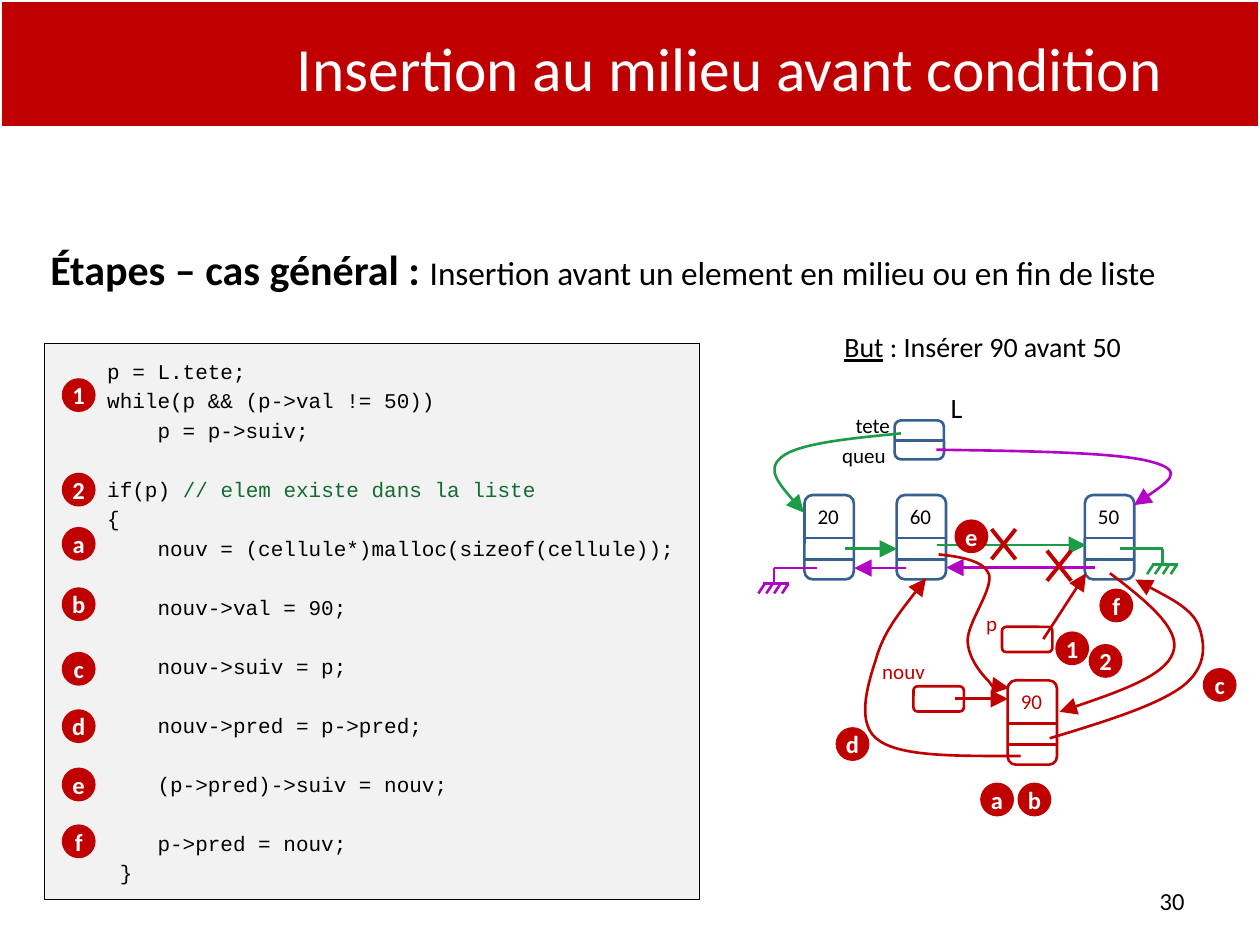
from lxml import etree
from pptx import Presentation
from pptx.dml.color import RGBColor
from pptx.enum import shapes, text
from pptx.oxml import ns
from pptx.util import Pt

RED, BLUE, GREEN, PURPLE = "C00000", "376092", "1C9C47", "B105C3"
BLACK, WHITE, GREY, COMMENT = "000000", "FFFFFF", "F2F2F2", "136B30"
LEFT, CENTER, RIGHT = (text.PP_ALIGN.LEFT, text.PP_ALIGN.CENTER,
                       text.PP_ALIGN.RIGHT)
RECT, ROUND, OVAL = (shapes.MSO_SHAPE.RECTANGLE,
                     shapes.MSO_SHAPE.ROUNDED_RECTANGLE,
                     shapes.MSO_SHAPE.OVAL)
CELL_W, CELL_H = 28.2, 48.2
LINE_GAP, BLOCK_GAP = 2.5, 19.3

CODE = """\
    p = L.tete;
    while(p && (p->val != 50))
        p = p->suiv;

    if(p) // elem existe dans la liste
    {
        nouv = (cellule*)malloc(sizeof(cellule));

        nouv->val = 90;

        nouv->suiv = p;

        nouv->pred = p->pred;

        (p->pred)->suiv = nouv;

        p->pred = nouv;
     }"""

CODE_STEPS = zip("12abcdef", (225.8, 279.8, 310.8, 345.3, 382.2, 415, 448.3, 480.8))
DIAGRAM_STEPS = [("1", 612.7, 370.5), ("2", 631.8, 377.7), ("a", 569.8, 456.9),
                 ("b", 591.1, 456.9), ("c", 697, 391.4), ("d", 487.2, 425.2),
                 ("e", 555.1, 306.5), ("f", 637.9, 346)]
CELLS = [("20", 459.7, 282.9, BLUE, BLACK), ("60", 512.4, 282.9, BLUE, BLACK),
         ("50", 619.9, 282.9, BLUE, BLACK), ("90", 575.8, 388.8, RED, RED)]
LABELS = [("tete", 498.7, 242.8, 12, BLACK), ("queu", 493.7, 260, 12, BLACK),
          ("L", 546.5, 232.8, 16, BLACK), ("nouv", 516.3, 383.5, 12, RED),
          ("p", 566.6, 356, 12, RED)]
ARROWS = [(535.7, 311.5, 620.6, 311.5, GREEN), (483.1, 313.6, 512.6, 313.6, GREEN),
          (517.7, 324.6, 488.2, 324.6, PURPLE), (625.7, 324.3, 540.7, 324.3, PURPLE),
          (545.8, 399.3, 576, 399.3, RED), (596.2, 365.2, 620.6, 327.6, RED)]
# Each curve is a start point followed by triples of Bézier points.
CURVES = [
    (GREEN, [(514.8, 247.7), (485.3, 250.6), (455.8, 253.4), (446.4, 261.4),
             (437.8, 268.6), (448.6, 280.8), (459.4, 293)]),
    (PURPLE, [(535, 257), (587.5, 257.8), (640.1, 258.5), (658.8, 264.2),
              (677.5, 269.3), (663.1, 278.6), (648, 288.7)]),
    (RED, [(583.2, 432), (549.4, 432), (516.2, 432.7), (502.6, 423.4),
           (488.9, 414.7), (495.4, 392.4), (500.4, 377.3),
           (504.7, 361.4), (517, 346.3), (529.2, 330.5)]),
    (RED, [(536.4, 316.8), (549.4, 318.2), (562.3, 320.4), (565.2, 328.3),
           (567.4, 337), (553, 355.7), (553, 365.8),
           (553, 375.8), (560.9, 385.2), (565.2, 389.5),
           (568.8, 394.6), (573.1, 393.8), (576.7, 393.1)]),
    (RED, [(599.8, 421.9), (630.7, 412.6), (661, 403.2), (675.4, 392.4),
           (689.8, 381.6), (689, 367.9), (684.7, 357.1),
           (680.4, 347), (648.7, 331.2), (648.7, 331.2)]),
    (RED, [(634.3, 327.6), (655.2, 343.4), (675.4, 360), (670.3, 373),
           (666, 385.9), (635.8, 396.7), (605.5, 406.8)]),
]


def rgb(value):
    return RGBColor.from_string(value)


def set_line(sp, color, width=1.5, arrow=False):
    sp.line.color.rgb = rgb(color)
    sp.line.width = Pt(width)
    if arrow:
        ln = sp.line._get_or_add_ln()
        etree.SubElement(ln, ns.qn("a:tailEnd"), type="triangle", w="lg", len="lg")


def add_run(p, words, color, size, **fmt):
    r = p.add_run()
    r.text = words
    r.font.color.rgb = rgb(color)
    for name, value in {"name": "Calibri", "size": Pt(size), **fmt}.items():
        setattr(r.font, name, value)


def frame(sp, align=CENTER, anchor=text.MSO_ANCHOR.MIDDLE, wrap=True, inset=0):
    """Prepare the text frame of a shape and return its first paragraph."""
    tf = sp.text_frame
    fmt = {"word_wrap": wrap, "vertical_anchor": anchor}
    fmt.update({f"margin_{side}": Pt(inset)
                for side in ("left", "right", "top", "bottom")})
    for name, value in fmt.items():
        setattr(tf, name, value)
    tf.paragraphs[0].alignment = align
    return tf.paragraphs[0]


def add_box(s, kind, x, y, w, h, line, fill=None, width=1.5):
    sp = s.shapes.add_shape(kind, Pt(x), Pt(y), Pt(w), Pt(h))
    sp.shadow.inherit = False
    if fill:
        sp.fill.solid()
        sp.fill.fore_color.rgb = rgb(fill)
    else:
        sp.fill.background()
    set_line(sp, line, width)
    return sp


def add_text(s, x, y, w, h, runs, **layout):
    """Add one paragraph; each run is (words, colour, size, format)."""
    sp = s.shapes.add_textbox(Pt(x), Pt(y), Pt(w), Pt(h))
    p = frame(sp, **layout)
    for words, color, size, fmt in runs:
        add_run(p, words, color, size, **fmt)


def add_line(s, x1, y1, x2, y2, color, width=1.5, arrow=False):
    sp = s.shapes.add_connector(shapes.MSO_CONNECTOR.STRAIGHT,
                                Pt(x1), Pt(y1), Pt(x2), Pt(y2))
    set_line(sp, color, width, arrow)
    etree.SubElement(sp._element.spPr, ns.qn("a:effectLst"))


def add_curve(s, color, points):
    """Build an outline, then join each triple of its points into a Bézier."""
    start, *rest = [(Pt(x), Pt(y)) for x, y in points]
    builder = s.shapes.build_freeform(*start)
    builder.add_line_segments(rest, close=False)
    sp = builder.convert_to_shape()
    sp.shadow.inherit = False
    sp.fill.background()
    set_line(sp, color, arrow=True)
    outline = next(sp._element.iter(ns.qn("a:path")))
    segments = outline.findall(ns.qn("a:lnTo"))
    for i in range(0, len(segments), 3):
        curve = etree.SubElement(outline, ns.qn("a:cubicBezTo"))
        for segment in segments[i:i + 3]:
            curve.append(segment[0])
            outline.remove(segment)


def add_badge(s, label, cx, cy, size=17.3):
    sp = add_box(s, OVAL, cx - size / 2, cy - size / 2, size, size, RED, RED, 2)
    add_run(frame(sp, wrap=False), label, WHITE, 14, bold=True)


def add_label(s, words, cx, cy, size, color):
    add_text(s, cx - 20, cy - 10, 40, 20, [(words, color, size, {})])


def add_cell(s, value, x, y, color, ink):
    add_box(s, ROUND, x, y, CELL_W, CELL_H, color)
    for dy in (24.6, 36.7):
        add_line(s, x, y + dy, x + CELL_W, y + dy, color)
    add_label(s, value, x + CELL_W / 2 - 0.5, y + 12, 12, ink)


def add_null(s, start, x, y, color):
    """Draw the null pointer: a wire, a stem and a hatched bar."""
    bar = y + 9
    add_line(s, start, y, x, y, color)
    add_line(s, x, y, x, bar, color)
    add_line(s, x - 6, bar, x + 8.7, bar, color)
    for i in range(4):
        top = x - 5.3 + 4.5 * i
        add_line(s, top, bar, top - 3.6, bar + 5.5, color)


def add_cross(s, cx, cy, dx=6.9, dy=8.6):
    for side in (dx, -dx):
        add_line(s, cx - side, cy - dy, cx + side, cy + dy, RED, 2.25)


def add_code(s):
    sp = add_box(s, RECT, 25.4, 196.4, 374.4, 317.5, BLACK, GREY, 0.75)
    p = frame(sp, LEFT, inset=7.2)
    gap = 0
    for line in CODE.splitlines():
        if not line:
            gap = BLOCK_GAP
            continue
        if p.runs:
            p = sp.text_frame.add_paragraph()
            p.alignment = LEFT
        p.space_before = Pt(gap)
        gap = LINE_GAP
        code, mark, comment = line.partition("//")
        add_run(p, code, BLACK, 12, name="Courier New")
        if mark:
            add_run(p, mark + comment, COMMENT, 12, name="Courier New")
    for label, y in CODE_STEPS:
        add_badge(s, label, 45, y)


def add_diagram(s):
    for cell in CELLS:
        add_cell(s, *cell)
    add_box(s, ROUND, 511.2, 240.2, CELL_W, 22.3, BLUE)
    add_line(s, 511.2, 251.8, 511.2 + CELL_W, 251.8, BLUE)
    for x, y in ((522, 392.2), (572.6, 358.2)):
        add_box(s, ROUND, x, y, 28.8, 14.4, RED)
    for label in LABELS:
        add_label(s, *label)
    for arrow in ARROWS:
        add_line(s, *arrow, arrow=True)
    add_null(s, 466.6, 442.3, 324.6, PURPLE)
    add_null(s, 640.1, 664.4, 313.6, GREEN)
    for curve in CURVES:
        add_curve(s, *curve)
    for cx, cy in ((573.5, 311), (605.2, 323.3)):
        add_cross(s, cx, cy)
    for step in DIAGRAM_STEPS:
        add_badge(s, *step)


def main():
    prs = Presentation()
    prs.slide_width, prs.slide_height = Pt(720), Pt(540)
    s = prs.slides.add_slide(prs.slide_layouts[6])
    add_box(s, RECT, 0, 0, 720, 73, WHITE, RED, 2)
    add_text(s, 156.2, 13.2, 521.3, 49.7,
             [("Insertion au milieu avant condition", WHITE, 35.1, {})])
    add_text(s, 20.2, 130.4, 674.6, 391,
             [("Étapes – cas général : ", BLACK, 24, {"bold": True}),
              ("Insertion avant un element en milieu ou en fin de liste", BLACK, 19, {})],
             align=LEFT, anchor=text.MSO_ANCHOR.TOP, inset=8.6)
    add_code(s)
    add_text(s, 468, 184.5, 187.2, 26.6,
             [("But", BLACK, 16, {"underline": True}),
              (" : Insérer 90 avant 50", BLACK, 16, {})])
    add_diagram(s)
    add_text(s, 516.2, 500.4, 167.8, 28.8, [("30", BLACK, 14, {})],
             align=RIGHT, inset=7.2)
    prs.save("out.pptx")


if __name__ == "__main__":
    main()
